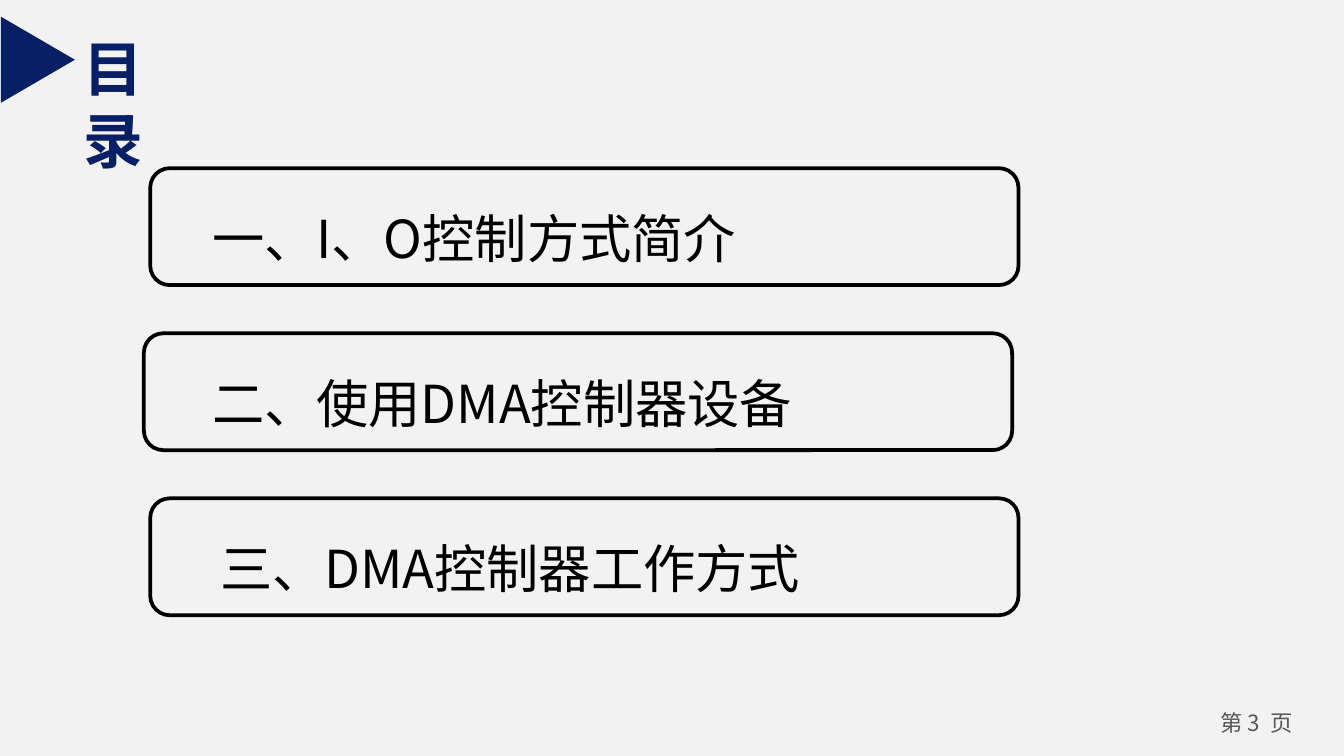
import pptx
import pptx.util
import pptx.dml.color
import pptx.enum.shapes
import pptx.enum.text
import pptx.oxml
import pptx.oxml.ns

Cm = pptx.util.Cm
Pt = pptx.util.Pt
SHAPES = pptx.enum.shapes.MSO_SHAPE
ALIGN = pptx.enum.text.PP_ALIGN

FONT = "Noto Sans CJK SC"
NAVY, BLACK, GREY, PALE = "071F65", "000000", "595959", "F2F2F2"

# Text, left edge of the frame, left edge and width of the text
ENTRIES = [
    ("一、I、O控制方式简介", 2.84, 3.76, 11.66),
    ("二、使用DMA控制器设备", 2.72, 3.76, 13.03),
    ("三、DMA控制器工作方式", 2.84, 3.91, 12.88),
]


def color(value):
    return pptx.dml.color.RGBColor.from_string(value)


def place(shape, box):
    shape.left, shape.top, shape.width, shape.height = (Cm(n) for n in box)


def write(shape, text, size, ink, bold=False, align=ALIGN.LEFT, spacing=None):
    frame = shape.text_frame
    frame.word_wrap = True
    frame.vertical_anchor = pptx.enum.text.MSO_ANCHOR.TOP
    para = frame.paragraphs[0]
    para.text = text
    para.alignment = align
    para.line_spacing = spacing
    font = para.font
    font.name, font.size, font.bold = FONT, Pt(size), bold
    font.color.rgb = color(ink)
    # The East Asian typeface has no public setter
    properties = para._p.get_or_add_pPr().find(pptx.oxml.ns.qn("a:defRPr"))
    for target in [properties] + [span._r.get_or_add_rPr() for span in para.runs]:
        east = pptx.oxml.parse_xml(
            f'<a:ea {pptx.oxml.ns.nsdecls("a")} typeface="{FONT}"/>')
        target.append(east)


def add_text(page, box, *args, **options):
    shape = page.shapes.add_textbox(*(Cm(n) for n in box))
    write(shape, *args, **options)
    return shape


def add_heading(page, box):
    left, top, width, height = box
    # Title, one character to a line
    title = page.shapes.title
    place(title, (left + 1.42, top, width - 1.42, height))
    write(title, "目录", 32, NAVY, bold=True)
    title.text_frame.auto_size = pptx.enum.text.MSO_AUTO_SIZE.NONE
    # Marker pointing at the title
    marker = page.shapes.add_shape(
        SHAPES.ISOSCELES_TRIANGLE, Cm(left), Cm(top - 0.05), Cm(1.63), Cm(1.4))
    marker.rotation = 90
    marker.shadow.inherit = False
    marker.fill.solid()
    marker.fill.fore_color.rgb = color(NAVY)
    marker.line.fill.background()


def add_entry(page, box, text, text_left, text_width):
    frame = page.shapes.add_shape(
        SHAPES.ROUNDED_RECTANGLE, *(Cm(n) for n in box))
    frame.shadow.inherit = False
    frame.fill.background()
    frame.line.color.rgb = color(BLACK)
    frame.line.width = Pt(2)
    add_text(page, (text_left, box[1], text_width, 2.06),
             text, 28, BLACK, spacing=1.5)


def add_contents(page, top, pitch):
    for index, (text, left, text_left, text_width) in enumerate(ENTRIES):
        add_entry(page, (left, top + index * pitch, 16.41, 2.21),
                  text, text_left, text_width)


def add_page_number(page, box):
    shape = add_text(page, box, "第 3  页", 12, GREY, align=ALIGN.CENTER)
    frame = shape.text_frame
    frame.margin_left = frame.margin_right = Cm(0.18)
    frame.margin_top = frame.margin_bottom = Cm(0.1)


def main():
    deck = pptx.Presentation()
    deck.slide_width, deck.slide_height = Cm(25.4), Cm(14.29)
    page = deck.slides.add_slide(deck.slide_layouts[5])
    page.background.fill.solid()
    page.background.fill.fore_color.rgb = color(PALE)
    add_page_number(page, (22.6, 13.3, 2.3, 0.76))
    add_heading(page, (-0.1, 0.48, 4.08, 1.63))
    add_contents(page, 3.18, 3.12)
    deck.save("out.pptx")


if __name__ == "__main__":
    main()
